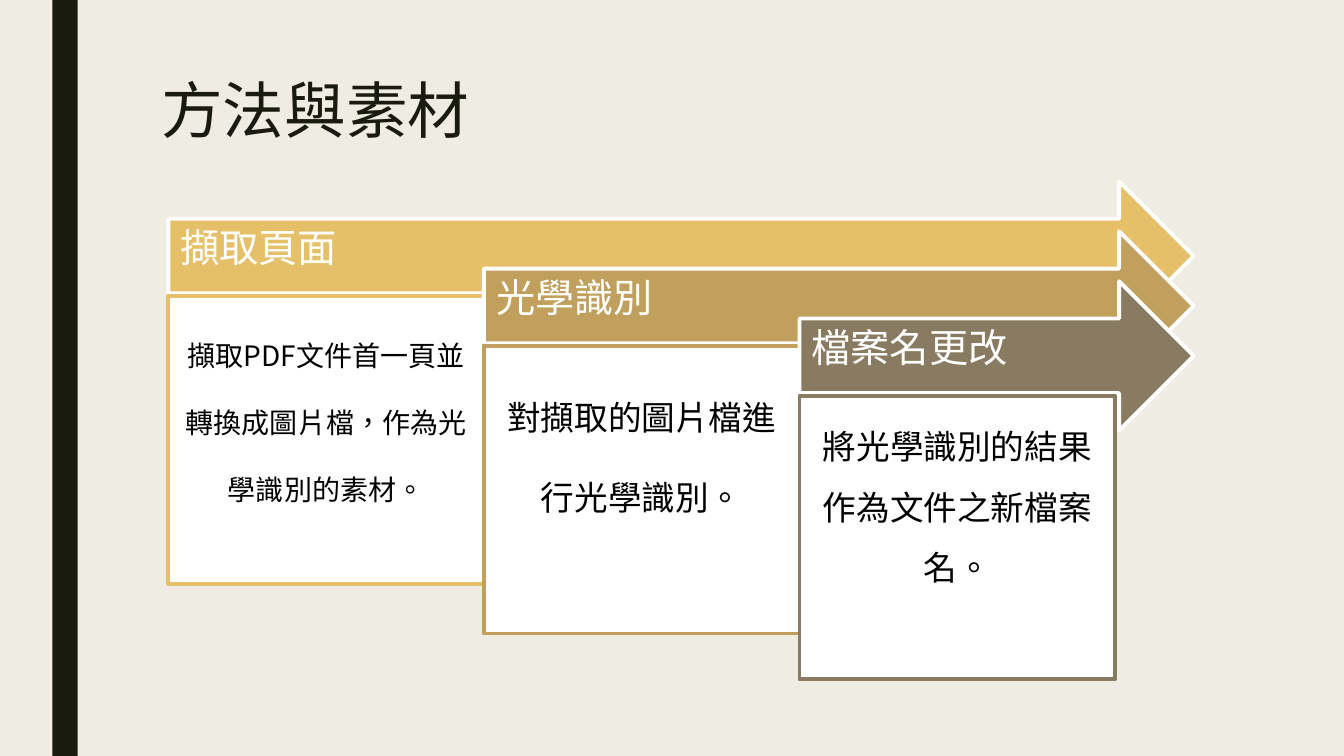
from pptx import Presentation
from pptx.dml.color import RGBColor
from pptx.enum.lang import MSO_LANGUAGE_ID
from pptx.enum.shapes import MSO_SHAPE
from pptx.enum.text import MSO_ANCHOR, PP_ALIGN
from pptx.oxml.ns import qn
from pptx.util import Inches, Pt

COLORS = {
    "background": "EFEDE3", "dark": "191B0E", "white": "FFFFFF", "black": "000000",
    "gold": "E6C069", "ochre": "C0A05C", "brown": "897B61",
}
HEADING_FONT = "Noto Sans CJK JP"
BODY_FONT = "Noto Sans CJK SC"

TITLE = "方法與素材"
STEPS = [
    {"heading": "擷取頁面", "color": "gold", "size": 20, "spacing": 2.0, "inset": 0.08, "height": 2.85,
     "body": "擷取PDF文件首一頁並轉換成圖片檔，作為光學識別的素材。"},
    {"heading": "光學識別", "color": "ochre", "size": 24, "spacing": 2.0, "inset": 0.1, "height": 2.85,
     "body": "對擷取的圖片檔進行光學識別。"},
    {"heading": "檔案名更改", "color": "brown", "size": 24, "spacing": 1.5, "inset": 0.1, "height": 2.81,
     "body": "將光學識別的結果作為文件之新檔案名。"},
]
LEFT, TOP, RIGHT = 1.67, 1.8, 11.84
STEP_WIDTH, STEP_DROP = 3.13, 0.495
ARROW_HEIGHT, BODY_OFFSET = 1.48, 1.14


def color(name):
    return RGBColor.from_string(COLORS[name])


def write_text(shape, text, font_name, size, color_name, spacing, alignment, anchor, insets):
    """Fill a shape with one paragraph; insets are left, top, right, bottom."""
    frame = shape.text_frame
    frame_format = {"word_wrap": True, "vertical_anchor": anchor}
    for side, inset in zip(("left", "top", "right", "bottom"), insets):
        frame_format[f"margin_{side}"] = Inches(inset)
    for name, value in frame_format.items():
        setattr(frame, name, value)
    paragraph = frame.paragraphs[0]
    paragraph.alignment = alignment
    paragraph.line_spacing = spacing
    run = paragraph.add_run()
    run.text = text
    font_format = {"name": font_name, "size": Pt(size), "bold": False,
                   "language_id": MSO_LANGUAGE_ID.TRADITIONAL_CHINESE}
    for name, value in font_format.items():
        setattr(run.font, name, value)
    run.font.color.rgb = color(color_name)
    east_asian = run._r.get_or_add_rPr().makeelement(qn("a:ea"), {"typeface": font_name})
    run._r.rPr.find(qn("a:latin")).addnext(east_asian)


def add_block(slide, kind, box, fill, line=None):
    shape = slide.shapes.add_shape(kind, *(Inches(length) for length in box))
    shape.shadow.inherit = False
    shape.fill.solid()
    shape.fill.fore_color.rgb = color(fill)
    if line:
        shape.line.color.rgb = color(line)
        shape.line.width = Pt(2.75)
    else:
        shape.line.fill.background()
    return shape


def add_step(slide, index, step):
    left = LEFT + index * STEP_WIDTH
    top = TOP + index * STEP_DROP
    arrow = add_block(slide, MSO_SHAPE.RIGHT_ARROW, (left, top, RIGHT - left, ARROW_HEIGHT),
                      step["color"], "white")
    write_text(arrow, step["heading"], HEADING_FONT, 28, "white", 0.9,
               PP_ALIGN.LEFT, MSO_ANCHOR.MIDDLE, (0.12, 0.12, 0.28, 0.24))
    body = add_block(slide, MSO_SHAPE.RECTANGLE,
                     (left, top + BODY_OFFSET, STEP_WIDTH, step["height"]),
                     "white", step["color"])
    write_text(body, step["body"], BODY_FONT, step["size"], "black", step["spacing"],
               PP_ALIGN.CENTER, MSO_ANCHOR.TOP, [step["inset"]] * 4)


def main():
    presentation = Presentation()
    presentation.slide_width = Inches(13.33)
    presentation.slide_height = Inches(7.5)
    slide = presentation.slides.add_slide(presentation.slide_layouts[5])
    slide.background.fill.solid()
    slide.background.fill.fore_color.rgb = color("background")

    add_block(slide, MSO_SHAPE.RECTANGLE, (0.52, 0, 0.25, 7.5), "dark")
    title = slide.shapes.title
    for name, value in {"left": 1.5, "top": 0.75, "width": 10.5, "height": 1.62}.items():
        setattr(title, name, Inches(value))
    write_text(title, TITLE, BODY_FONT, 44, "dark", 0.89,
               PP_ALIGN.LEFT, MSO_ANCHOR.TOP, (0.1, 0.05, 0.1, 0.05))

    for index, step in enumerate(STEPS):
        add_step(slide, index, step)
    presentation.save("out.pptx")


if __name__ == "__main__":
    main()
